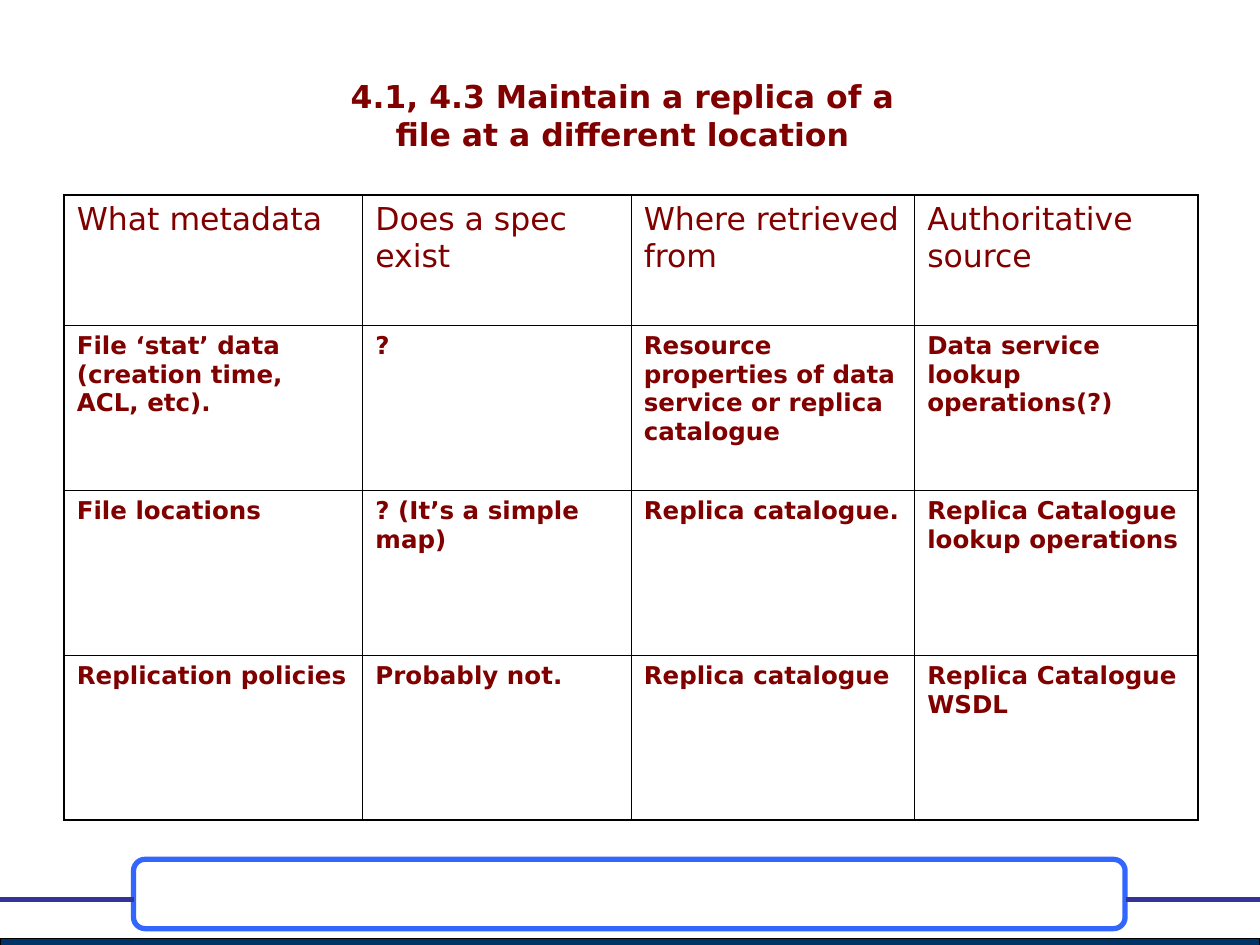
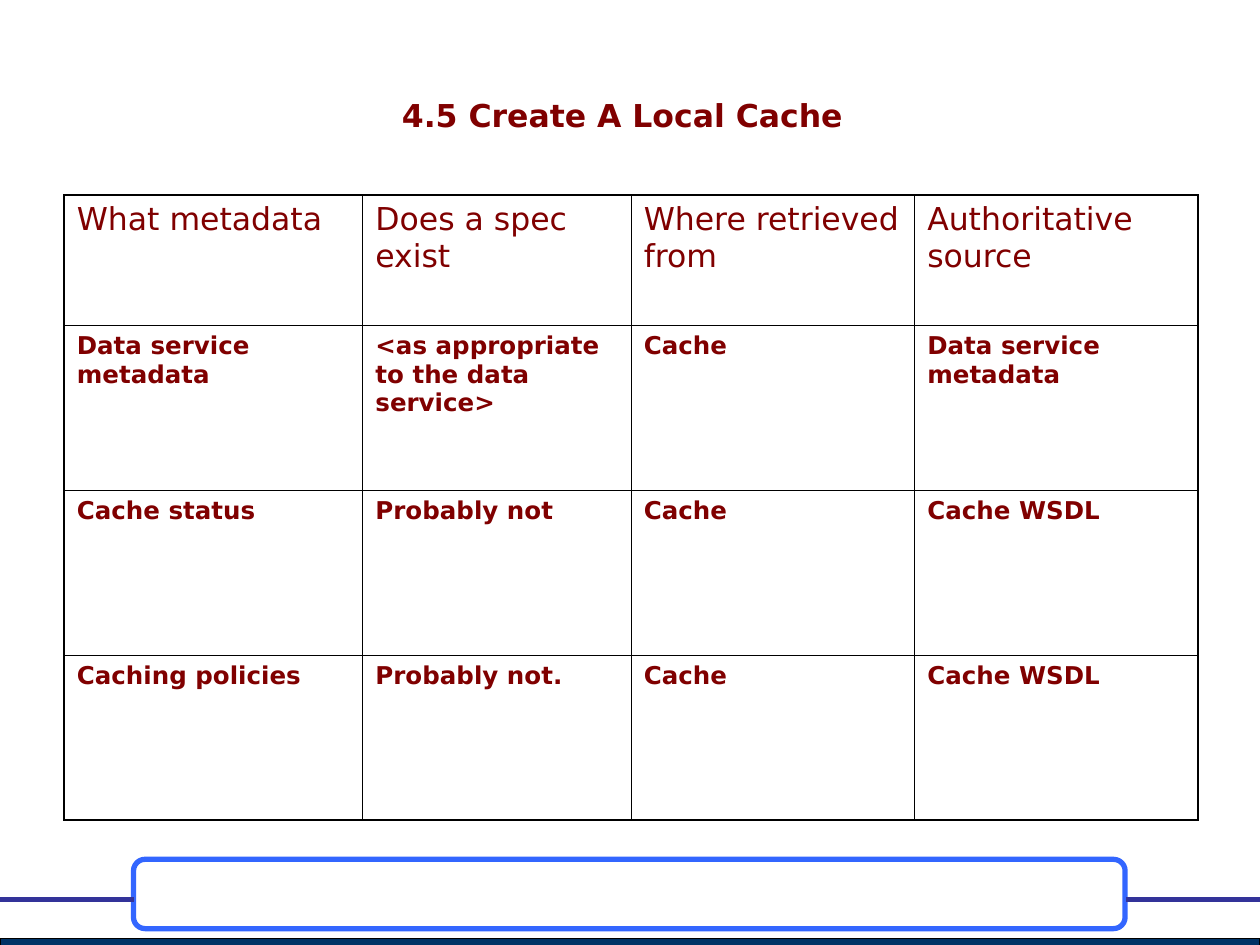
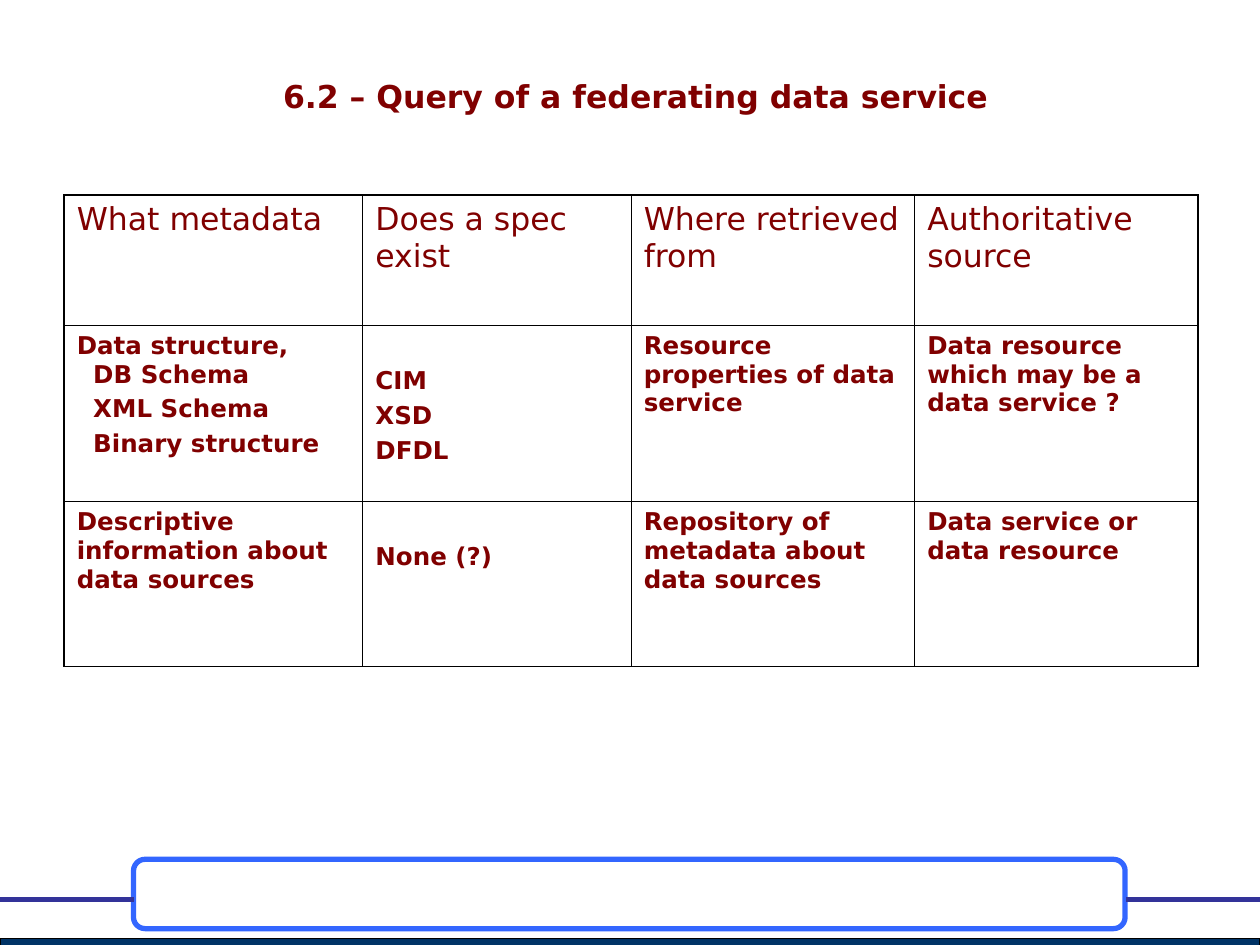
from copy import deepcopy
from dataclasses import dataclass

from lxml import etree
from pptx import Presentation
from pptx.dml.color import RGBColor
from pptx.enum.shapes import MSO_CONNECTOR, MSO_SHAPE
from pptx.enum.text import MSO_ANCHOR, MSO_AUTO_SIZE, PP_ALIGN
from pptx.oxml.ns import qn
from pptx.util import Inches, Pt

RECTANGLE = MSO_SHAPE.RECTANGLE
ROUNDED = MSO_SHAPE.ROUNDED_RECTANGLE
STRAIGHT = MSO_CONNECTOR.STRAIGHT
MIDDLE = MSO_ANCHOR.MIDDLE
CENTER = PP_ALIGN.CENTER
NO_AUTOFIT = MSO_AUTO_SIZE.NONE

MAROON = RGBColor(0x80, 0x00, 0x00)
NAVY = RGBColor(0x00, 0x33, 0x66)
BLUE = RGBColor(0x33, 0x66, 0xFF)
INDIGO = RGBColor(0x33, 0x33, 0x99)
BLACK = RGBColor(0x00, 0x00, 0x00)

SLIDE_WIDTH = Inches(10)
SLIDE_HEIGHT = Inches(7.5)
GRID_COLUMNS = 100
GRID_ROWS = 75

TITLE_FORMAT = {"name": "DejaVu Sans", "size": Pt(18), "bold": True}
HEADER_FORMAT = {"name": "DejaVu Sans", "size": Pt(18), "bold": False}
BODY_FORMAT = {"name": "DejaVu Sans", "size": Pt(14), "bold": True}
PLAIN_TABLE = {"first_row": False, "horz_banding": False}

HEADERS = ["What metadata", "Does a spec exist", "Where retrieved from", "Authoritative source"]
COLUMN_WIDTHS = [23.7, 21.3, 22.5, 22.5]
HEADER_HEIGHT = 10.3
BODY_HEIGHT = 13.1
TABLE_LEFT = 5.1
TABLE_TOP = 15.5
OUTER_BORDER = Pt(1.08)
INNER_BORDER = Pt(0.45)
CELL_SPACING = Pt(3.5)
SKIPPED_LINE = Inches(0.28)
CELL_MARGIN = Inches(0.05)
LIST_INDENT = Inches(0.13)


@dataclass(frozen=True)
class Area:
    left: float
    top: float
    width: float
    height: float

    def lengths(self) -> tuple:
        return across(self.left), down(self.top), across(self.width), down(self.height)


@dataclass(frozen=True)
class Band:
    kind: int
    area: Area
    line_color: RGBColor
    line_width: float
    fill_color: RGBColor | None = None


@dataclass(frozen=True)
class Entry:
    lines: tuple
    heading: str = ""
    skip_line: bool = False


@dataclass(frozen=True)
class MetadataSlide:
    title: str
    rows: list
    title_area: Area = Area(0, 2.9, 98.8, 12.5)
    title_bottom_margin: float = 0.05
    first_body_height: float = BODY_HEIGHT


BANDS = [
    Band(RECTANGLE, Area(0, 74.5, 100, 0.8), BLACK, 0.75, NAVY),
    Band(ROUNDED, Area(10.6, 68.2, 78.7, 5.5), BLUE, 3),
]
RULE_ROW = 71.4
RULES = [(10.6, 0), (89.4, 100)]

SLIDES = [
    MetadataSlide(
        "4.1, 4.3 Maintain a replica of a\vfile at a different location",
        [
            ["File ‘stat’ data (creation time, ACL, etc).", "?",
             "Resource properties of data service or replica catalogue",
             "Data service lookup operations(?)"],
            ["File locations", "? (It’s a simple map)", "Replica catalogue.",
             "Replica Catalogue lookup operations"],
            ["Replication policies", "Probably not.", "Replica catalogue",
             "Replica Catalogue WSDL"],
        ],
    ),
    MetadataSlide(
        "4.5 Create A Local Cache",
        [
            ["Data service metadata", "<as appropriate to the data service>", "Cache",
             "Data service metadata"],
            ["Cache status", "Probably not", "Cache", "Cache WSDL"],
            ["Caching policies", "Probably not.", "Cache", "Cache WSDL"],
        ],
    ),
    MetadataSlide(
        "6.2 – Query of a federating data service",
        [
            [Entry(("DB Schema", "XML Schema", "Binary structure"), heading="Data structure,"),
             Entry(("CIM", "XSD", "DFDL"), skip_line=True),
             "Resource properties of data service",
             "Data resource which may be a data service ?"],
            ["Descriptive information about data sources",
             Entry(("None (?)",), skip_line=True),
             "Repository of metadata about data sources",
             "Data service or data resource"],
        ],
        title_area=Area(2, 2.9, 96.9, 12.5),
        title_bottom_margin=0.35,
        first_body_height=14,
    ),
]


def across(columns: float) -> int:
    return round(SLIDE_WIDTH * columns / GRID_COLUMNS)


def down(rows: float) -> int:
    return round(SLIDE_HEIGHT * rows / GRID_ROWS)


def apply(target, values: dict) -> None:
    for name, value in values.items():
        setattr(target, name, value)


def format_runs(paragraph, font_format: dict) -> None:
    for run in paragraph.runs:
        apply(run.font, font_format)
        run.font.color.rgb = MAROON
    for line_break in paragraph._p.findall(qn("a:br")):
        line_break.insert(0, deepcopy(paragraph.runs[0]._r.rPr))


def draw_bands(slide) -> None:
    for band in BANDS:
        shape = slide.shapes.add_shape(band.kind, *band.area.lengths())
        shape.shadow.inherit = False
        if band.fill_color is None:
            shape.fill.background()
        else:
            shape.fill.solid()
            shape.fill.fore_color.rgb = band.fill_color
        shape.line.color.rgb = band.line_color
        shape.line.width = Pt(band.line_width)
    for start, end in RULES:
        rule = slide.shapes.add_connector(
            STRAIGHT, across(start), down(RULE_ROW), across(end), down(RULE_ROW))
        rule.line.color.rgb = INDIGO
        rule.line.width = Pt(3)
        etree.SubElement(rule._element.spPr, qn("a:effectLst"))


def draw_title(slide, content: MetadataSlide) -> None:
    title = slide.shapes.title
    title.left, title.top, title.width, title.height = content.title_area.lengths()
    frame = title.text_frame
    apply(frame, {"word_wrap": True, "auto_size": NO_AUTOFIT, "vertical_anchor": MIDDLE,
                  "margin_bottom": Inches(content.title_bottom_margin)})
    frame.text = content.title
    paragraph = frame.paragraphs[0]
    paragraph.alignment = CENTER
    format_runs(paragraph, TITLE_FORMAT)


def set_borders(cell, widths: dict) -> None:
    properties = cell._tc.get_or_add_tcPr()
    for position, (tag, width) in enumerate(widths.items()):
        border = etree.Element(qn(f"a:{tag}"), w=str(width))
        fill = etree.SubElement(border, qn("a:solidFill"))
        etree.SubElement(fill, qn("a:srgbClr"), val=str(BLACK))
        properties.insert(position, border)


def fill_cell(cell, entry: Entry, font_format: dict) -> None:
    cell.fill.background()
    if entry.skip_line:
        cell.margin_top = CELL_MARGIN + SKIPPED_LINE
    heading = (entry.heading,) if entry.heading else ()
    lines = heading + entry.lines
    frame = cell.text_frame
    frame.text = "\n".join(lines)
    for index, paragraph in enumerate(frame.paragraphs):
        if index > len(heading):
            paragraph.space_before = CELL_SPACING
        if heading and index > 0:
            paragraph._p.get_or_add_pPr().set("marL", str(LIST_INDENT))
        format_runs(paragraph, font_format)


def draw_table(slide, content: MetadataSlide) -> None:
    rows = [HEADERS, *content.rows]
    heights = [HEADER_HEIGHT, content.first_body_height]
    heights += [BODY_HEIGHT] * (len(rows) - len(heights))
    area = Area(TABLE_LEFT, TABLE_TOP, sum(COLUMN_WIDTHS), sum(heights))
    table = slide.shapes.add_table(len(rows), len(HEADERS), *area.lengths()).table
    apply(table, PLAIN_TABLE)
    for column, width in zip(table.columns, COLUMN_WIDTHS):
        column.width = across(width)
    for row, height in zip(table.rows, heights):
        row.height = down(height)
    last_row, last_column = len(rows) - 1, len(HEADERS) - 1
    for row_index, row in enumerate(rows):
        for column_index, value in enumerate(row):
            cell = table.cell(row_index, column_index)
            entry = value if isinstance(value, Entry) else Entry((value,))
            fill_cell(cell, entry, BODY_FORMAT if row_index else HEADER_FORMAT)
            outer_sides = {
                "lnL": column_index == 0,
                "lnR": column_index == last_column,
                "lnT": row_index == 0,
                "lnB": row_index == last_row,
            }
            set_borders(cell, {tag: OUTER_BORDER if outer else INNER_BORDER
                               for tag, outer in outer_sides.items()})


def main() -> None:
    presentation = Presentation()
    presentation.slide_width = SLIDE_WIDTH
    presentation.slide_height = SLIDE_HEIGHT
    title_only = presentation.slide_layouts.get_by_name("Title Only")
    for content in SLIDES:
        slide = presentation.slides.add_slide(title_only)
        draw_bands(slide)
        draw_title(slide, content)
        draw_table(slide, content)
    presentation.save("out.pptx")


if __name__ == "__main__":
    main()
